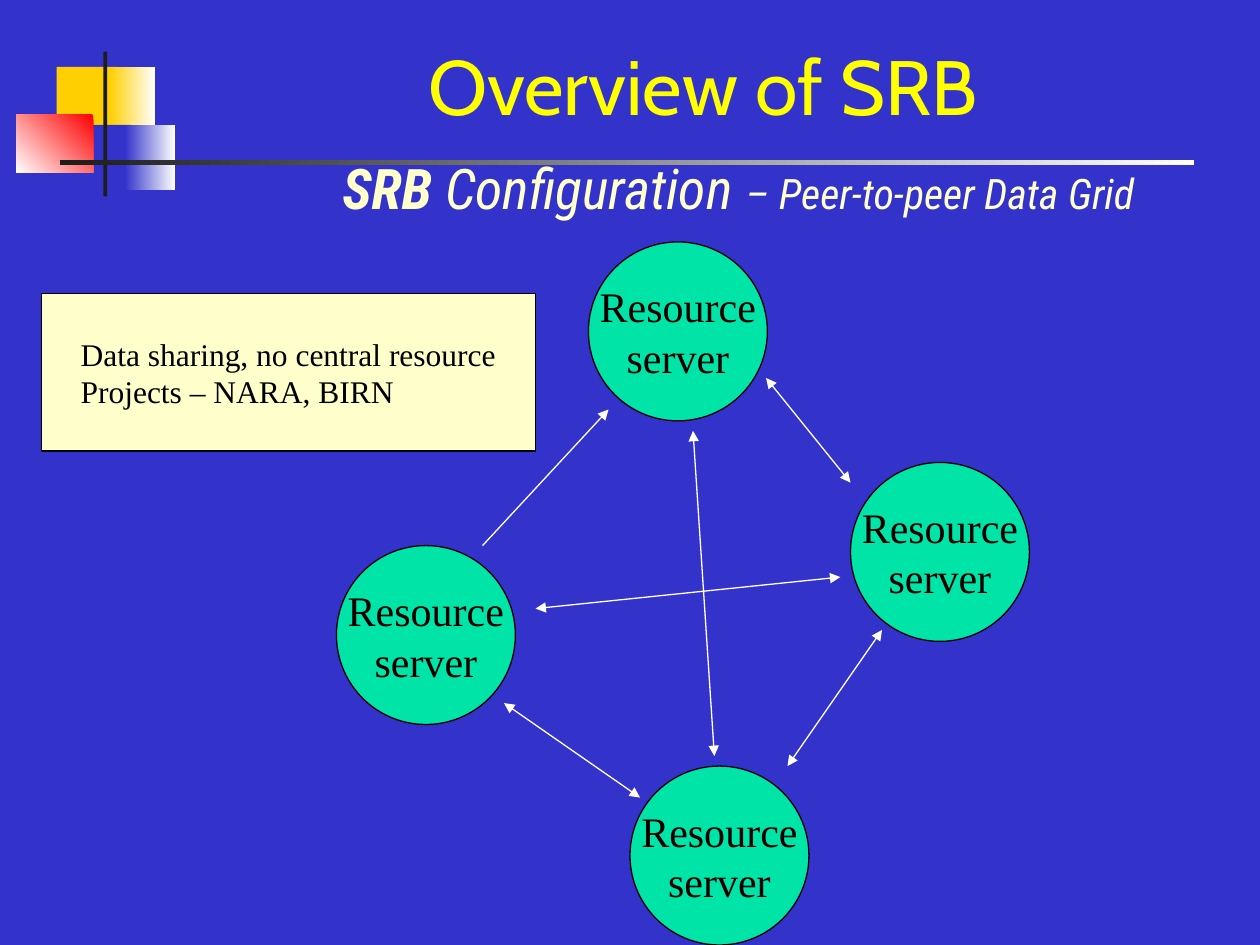
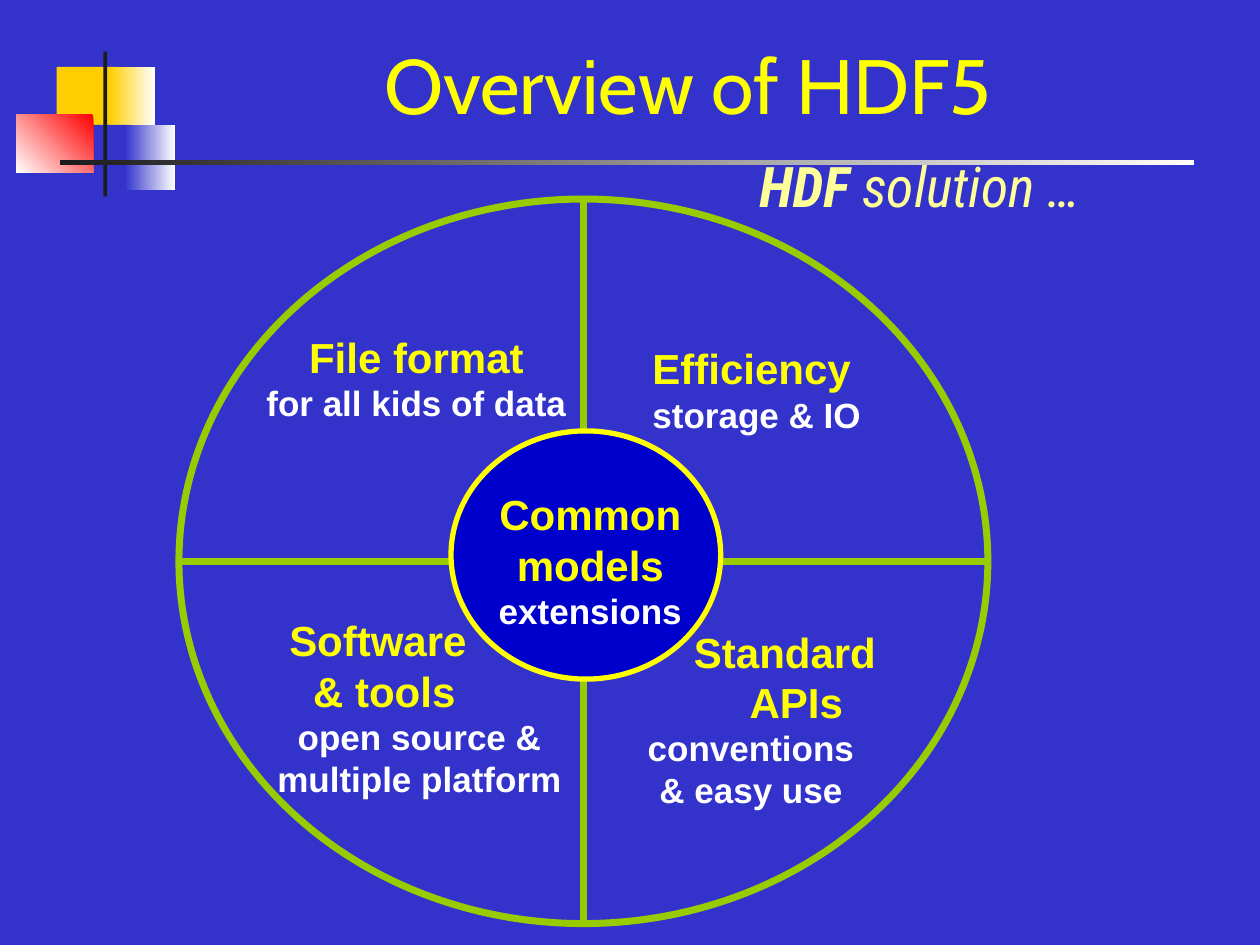
from pptx import Presentation
from pptx.dml.color import RGBColor
from pptx.enum.shapes import MSO_CONNECTOR as CONN, MSO_SHAPE as SHAPE
from pptx.enum.text import MSO_ANCHOR as ANCHOR, MSO_AUTO_SIZE as AUTO, PP_ALIGN as ALIGN
from pptx.oxml.ns import qn
from pptx.util import Inches, Pt
from lxml import etree

BLUE = RGBColor(0x33, 0x33, 0xCC)
DEEP_BLUE = RGBColor(0x00, 0x00, 0xCC)
YELLOW = RGBColor(0xFF, 0xFF, 0x00)
GOLD = RGBColor(0xFF, 0xCF, 0x01)
CREAM = RGBColor(0xFF, 0xFF, 0xCC)
PALE_YELLOW = RGBColor(0xFF, 0xFF, 0x99)
RED = RGBColor(0xFF, 0x00, 0x00)
MINT = RGBColor(0x00, 0xE4, 0xA8)
LIME = RGBColor(0x99, 0xCC, 0x00)
WHITE = RGBColor(0xFF, 0xFF, 0xFF)
CHARCOAL = RGBColor(0x1C, 0x1C, 0x1C)
BLACK = RGBColor(0x00, 0x00, 0x00)

# Text formats
TITLE = dict(name="Cabin", size=Pt(44), bold=False, italic=False, color=YELLOW)
SUBTITLE = dict(name="Roboto Condensed", size=Pt(32), bold=False, italic=True, color=CREAM)
HEAD = dict(name="Arial", size=Pt(24), bold=True, color=YELLOW)
DETAIL = dict(HEAD, size=Pt(20), color=WHITE)
SERVER = dict(name="Times New Roman", size=Pt(24), color=BLACK)
NOTE = dict(SERVER, size=Pt(18))

# Corner ornament and rule: box, then a colour or (start, end, clockwise angle)
ORNAMENT = [
    ((0.45, 0.53, 0.48, 0.52), GOLD),
    ((0.87, 0.53, 0.36, 0.52), (WHITE, GOLD, 180)),
    ((0.58, 0.99, 0.46, 0.52), BLUE),
    ((0.99, 0.99, 0.40, 0.52), (WHITE, BLUE, 180)),
    ((0.13, 0.91, 0.61, 0.46), (RED, WHITE, 135)),
    ((0.82, 0.41, 0.03, 1.15), CHARCOAL),
    ((0.48, 1.27, 9.00, 0.04), (WHITE, CHARCOAL, 180)),
]


def inches(values):
    return [Inches(v) for v in values]


class Deck:
    """Holds the shared style and the slide being drawn."""

    def __init__(self):
        self.prs = Presentation()
        self.prs.slide_width, self.prs.slide_height = inches((10, 7.5))
        fill = self.prs.slide_master.background.fill
        fill.solid()
        fill.fore_color.rgb = BLUE
        self.s = None

    def slide(self, box, title, subtitle, shift):
        """Start a slide: ornament plus a title with its subtitle line."""
        self.s = self.prs.slides.add_slide(self.prs.slide_layouts[5])
        for part_box, fill in ORNAMENT:
            self.shape(SHAPE.RECTANGLE, part_box, fill)
        sp = self.s.shapes.title
        sp.left, sp.top, sp.width, sp.height = inches(box)
        self.text(sp, [([(title, TITLE)], 0), (subtitle, shift)], anchor=ANCHOR.BOTTOM)
        sp.text_frame.margin_bottom = Inches(0.09)
        sp.text_frame.paragraphs[1].space_before = Pt(12.5)

    def shape(self, kind, box, fill=None, line=None, width=0.75):
        sp = self.s.shapes.add_shape(kind, *inches(box))
        sp.shadow.inherit = False
        if fill is None:
            sp.fill.background()
        elif isinstance(fill, RGBColor):
            sp.fill.solid()
            sp.fill.fore_color.rgb = fill
        else:
            *colors, angle = fill
            sp.fill.gradient()
            sp.fill.gradient_angle = 360 - angle
            for stop, color in zip(sp.fill.gradient_stops, colors):
                stop.color.rgb = color
        if line is None:
            sp.line.fill.background()
        else:
            sp.line.color.rgb = line
            sp.line.width = Pt(width)
        return sp

    def text(self, sp, paragraphs, align=ALIGN.CENTER, anchor=ANCHOR.TOP, wrap=True):
        """Fill a shape with (runs, shift) paragraphs; shift moves the centre sideways."""
        tf = sp.text_frame
        tf.word_wrap = wrap
        tf.auto_size = AUTO.NONE
        tf.vertical_anchor = anchor
        for i, (runs, shift) in enumerate(paragraphs):
            p = tf.add_paragraph() if i else tf.paragraphs[0]
            p.alignment = align
            if shift:
                side = "marL" if shift > 0 else "marR"
                p._p.get_or_add_pPr().set(side, str(Inches(2 * abs(shift))))
            for words, style in runs:
                r = p.add_run()
                r.text = words
                for key, value in style.items():
                    if key == "color":
                        r.font.color.rgb = value
                    else:
                        setattr(r.font, key, value)

    def label(self, box, heads, details, align=ALIGN.CENTER):
        """Text box of yellow heading lines over white detail lines."""
        sp = self.s.shapes.add_textbox(*inches(box))
        lines = [([(words, style)], shift)
                 for style, group in ((HEAD, heads), (DETAIL, details))
                 for words, shift in group]
        self.text(sp, lines, align)

    def arrow(self, start, end, ends=("headEnd", "tailEnd")):
        c = self.s.shapes.add_connector(CONN.STRAIGHT, *inches(start + end))
        c.line.color.rgb = WHITE
        c.line.width = Pt(0.75)
        ln = c.line._get_or_add_ln()
        for end_name in ends:
            etree.SubElement(ln, qn("a:" + end_name), type="triangle")
        etree.SubElement(c._element.spPr, qn("a:effectLst"))


def srb_slide(deck):
    deck.slide((1.33, 0.42, 8.5, 1.42), "Overview of SRB",
               [("SRB", dict(SUBTITLE, bold=True)), (" Configuration ", SUBTITLE),
                ("– Peer-to-peer Data Grid", dict(SUBTITLE, size=Pt(24)))], 0.28)

    # Peer servers
    for left, top in ((2.67, 4.33), (4.67, 1.92), (6.75, 3.67), (5, 6.08)):
        sp = deck.shape(SHAPE.OVAL, (left, top, 1.42, 1.42), MINT, BLACK)
        deck.text(sp, [([(word, SERVER)], 0) for word in ("Resource", "server")],
                  anchor=ANCHOR.MIDDLE, wrap=False)

    # Note
    sp = deck.shape(SHAPE.RECTANGLE, (0.33, 2.33, 3.92, 1.25), CREAM, BLACK)
    sp.text_frame.margin_left = Inches(0.31)
    deck.text(sp, [([(line, NOTE)], 0) for line in
                   ("Data sharing, no central resource", "Projects – NARA, BIRN")],
              ALIGN.LEFT, ANCHOR.MIDDLE)

    # Links between peers
    deck.arrow((3.83, 4.33), (4.83, 3.25), ends=("tailEnd",))
    for start, end in (((4, 5.58), (5.08, 6.33)), ((4.25, 4.83), (6.67, 4.58)),
                       ((6.25, 6.08), (7, 5)), ((6.08, 3), (6.75, 3.83)),
                       ((5.5, 3.42), (5.67, 6))):
        deck.arrow(start, end)


def hdf_slide(deck):
    deck.slide((1.17, 0.75, 8.58, 1.08), "Overview of HDF5",
               [("HDF ", dict(SUBTITLE, bold=True, color=PALE_YELLOW)),
                ("solution …", dict(SUBTITLE, color=PALE_YELLOW))], 1.84)

    # Wheel and hub
    deck.shape(SHAPE.FLOWCHART_OR, (1.42, 1.58, 6.42, 5.75), line=LIME, width=4)
    deck.shape(SHAPE.OVAL, (3.58, 3.42, 2.14, 1.97), DEEP_BLUE, YELLOW, 3)
    deck.label((3.76, 3.83, 1.85, 1.24), [("Common", 0), ("models", 0)], [("extensions", 0)])

    # Quadrants
    deck.label((2, 2.58, 2.61, 0.84), [("File format", 0)], [("for all kids of data", 0)])
    deck.label((5.08, 2.67, 2, 0.84), [("Efficiency", 0)], [("storage & IO", 0)], ALIGN.LEFT)
    deck.label((2.05, 4.83, 2.66, 1.57), [("Software", -0.38), ("& tools", -0.33)],
               [("open source &", -0.05), ("multiple platform", 0)])
    deck.label((4.75, 4.92, 2.5, 1.57), [("Standard", 0.23), ("APIs", 0.32)],
               [("conventions", -0.04), ("& easy use", 0)])


def main():
    deck = Deck()
    srb_slide(deck)
    hdf_slide(deck)
    deck.prs.save("out.pptx")


if __name__ == "__main__":
    main()
